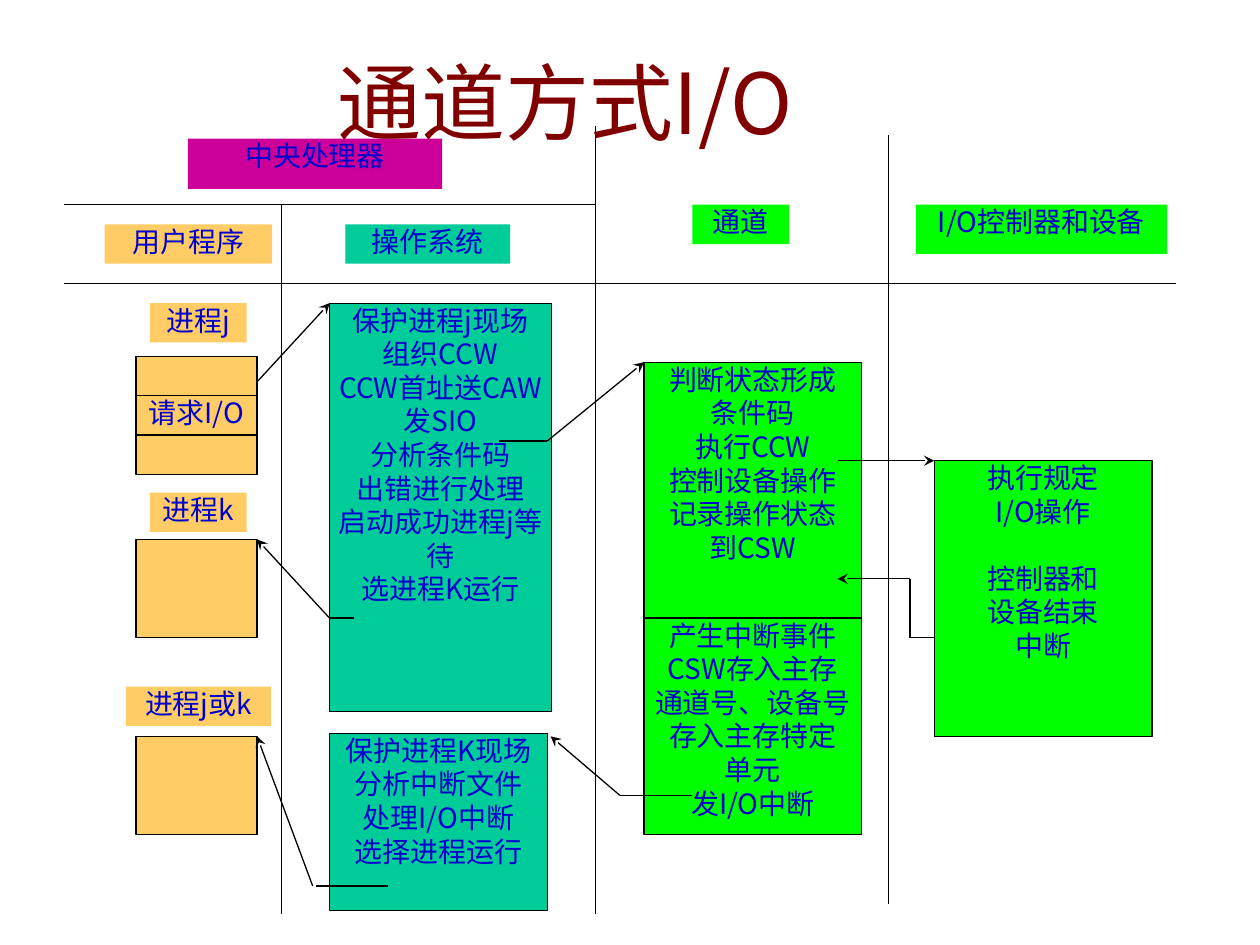
"""Build the channel-based I/O flow slide."""
from itertools import pairwise
from typing import NamedTuple, Optional

from pptx import Presentation
from pptx.dml.color import RGBColor as RGB
from pptx.enum.shapes import MSO_CONNECTOR as CONN, MSO_SHAPE as SHAPE
from pptx.enum.text import MSO_ANCHOR as ANCHOR, MSO_AUTO_SIZE as FIT, PP_ALIGN as ALIGN
from pptx.oxml.ns import qn
from pptx.util import Inches, Pt

FONT = "Noto Sans CJK JP"
BLACK = RGB(0, 0, 0)
BLUE = RGB(0x00, 0x00, 0xCC)
MAROON = RGB(0x80, 0x00, 0x00)
MAGENTA = RGB(0xCC, 0x00, 0x99)
ORANGE = RGB(0xFF, 0xCC, 0x66)
TEAL = RGB(0x00, 0xCC, 0x99)
GREEN = RGB(0x00, 0xFF, 0x00)

LEFT, TOP = 2.04, 2.25
COL, ROW = 8.83 / 46, 7.5 / 48
LINE_GAP = Pt(19.2)


class Box(NamedTuple):
    """A filled rectangle in grid units; a "+" opens a line set one line lower."""
    col: float
    row: float
    cols: float
    rows: float
    fill: RGB
    text: str = ""
    outlined: bool = False


class Route(NamedTuple):
    """A chain of straight lines through grid points."""
    points: tuple
    arrow: bool = True


BOXES = [
    Box(-2.86, -7.36, 10.52, 2.56, MAGENTA, "中央处理器"),
    Box(-6.3, -3, 6.93, 2, ORANGE, "用户程序"),
    Box(3.65, -3, 6.82, 2, TEAL, "操作系统"),
    Box(3, 1, 9.17, 20.74, TEAL, "保护进程j现场\n组织CCW\nCCW首址送CAW\n发SIO\n分析条件码\n"
        "出错进行处理\n启动成功进程j等待\n选进程K运行", True),
    Box(3, 22.85, 9, 9, TEAL, "保护进程K现场\n分析中断文件\n处理I/O中断\n选择进程运行", True),
    Box(16, 4, 9, 13, GREEN, "判断状态形成\n条件码\n执行CCW\n控制设备操作\n"
        "记录操作状态\n到CSW", True),
    Box(16, 17, 9, 11, GREEN, "产生中断事件\nCSW存入主存\n通道号、设备号\n存入主存特定\n"
        "单元\n发I/O中断", True),
    Box(28, 9, 9, 14, GREEN, "执行规定\nI/O操作\n+控制器和\n设备结束\n中断", True),
    Box(18, -4, 4, 2, GREEN, "通道"),
    Box(27.25, -4, 10.37, 2.5, GREEN, "I/O控制器和设备"),
    *[Box(-5, 3.7 + 2 * i, 5, 2, ORANGE, text, True)
      for i, text in enumerate(("", "请求I/O", ""))],
    Box(-4.43, 1, 4, 2, ORANGE, "进程j"),
    Box(-4.43, 10.62, 4, 2, ORANGE, "进程k"),
    Box(-5, 13, 5, 5, ORANGE, outlined=True),
    Box(-5.42, 20.48, 6, 2, ORANGE, "进程j或k"),
    Box(-5, 23, 5, 5, ORANGE, outlined=True),
]

ROUTES = [
    Route(((0, 5), (3, 1))),
    Route(((4, 17), (3, 17), (0, 13))),
    Route(((2.3, 30.6), (0, 23))),
    Route(((2.45, 30.6), (5.42, 30.6)), False),
    Route(((10, 8), (12, 8), (16, 4))),
    Route(((28, 18), (27, 18), (27, 15), (24, 15))),
    Route(((18, 26), (15, 26), (12.14, 23))),
    Route(((24, 9), (28, 9))),
    Route(((-8, -4), (14, -4)), False),
    Route(((14, -8), (14, 32)), False),
    Route(((-8, 0), (38, 0)), False),
    Route(((26.1, -7.55), (26.1, 31.5)), False),
    Route(((1, -4), (1, 32)), False),
]


def at(col: float, row: float) -> tuple:
    """Return the slide position of a grid point."""
    return Inches(LEFT + col * COL), Inches(TOP + row * ROW)


def set_format(target, values: dict) -> None:
    """Set each named attribute on the target."""
    for name, value in values.items():
        setattr(target, name, value)


def write(p, text: str, size: float, color: RGB) -> None:
    """Add one styled run to a paragraph."""
    r = p.add_run()
    r.text = text
    set_format(r.font, {"size": Pt(size), "name": FONT, "bold": False})
    r.font.color.rgb = color
    ea = r.font._element.makeelement(qn("a:ea"), {"typeface": FONT})
    r.font._element.find(qn("a:latin")).addnext(ea)


def draw_box(s, box: Box) -> None:
    """Draw a rectangle with its centred lines of text."""
    sp = s.shapes.add_shape(SHAPE.RECTANGLE, *at(box.col, box.row),
                            Inches(box.cols * COL), Inches(box.rows * ROW))
    sp.shadow.inherit = False
    sp.fill.solid()
    sp.fill.fore_color.rgb = box.fill
    if box.outlined:
        sp.line.color.rgb = BLACK
        sp.line.width = Pt(0.75)
    else:
        sp.line.fill.background()
    if not box.text:
        return
    tf = sp.text_frame
    set_format(tf, {"margin_left": 0, "margin_right": 0, "margin_top": 0,
                    "margin_bottom": 0, "word_wrap": True,
                    "vertical_anchor": ANCHOR.TOP})
    for i, line in enumerate(box.text.split("\n")):
        p = tf.add_paragraph() if i else tf.paragraphs[0]
        p.alignment = ALIGN.CENTER
        if line.startswith("+"):
            p.space_before = LINE_GAP
        write(p, line.lstrip("+"), 16, BLUE)


def draw_route(s, route: Route) -> None:
    """Draw a chain of connectors, with an arrowhead on the last if asked."""
    cxn: Optional[object] = None
    for start, end in pairwise(route.points):
        cxn = s.shapes.add_connector(CONN.STRAIGHT, *at(*start), *at(*end))
        cxn.line.color.rgb = BLACK
        cxn.line.width = Pt(0.75)
        sp_pr = cxn._element.spPr
        sp_pr.append(sp_pr.makeelement(qn("a:effectLst"), {}))
    if route.arrow:
        ln = cxn.line._get_or_add_ln()
        ln.append(ln.makeelement(qn("a:tailEnd"), {"type": "stealth"}))


def place_title(s, text: str) -> None:
    """Move the title placeholder to the front and fill it."""
    sp = s.shapes.title
    set_format(sp, {"left": Inches(2.58), "top": Inches(0.35),
                    "width": Inches(3.98), "height": Inches(0.9)})
    tf = sp.text_frame
    set_format(tf, {"word_wrap": False, "auto_size": FIT.NONE,
                    "vertical_anchor": ANCHOR.TOP})
    p = tf.paragraphs[0]
    p.alignment = ALIGN.LEFT
    write(p, text, 48, MAROON)
    s.shapes._spTree.append(sp._element)


def main() -> None:
    """Build and save the slide."""
    prs = Presentation()
    set_format(prs, {"slide_width": Inches(10), "slide_height": Inches(7.5)})
    s = prs.slides.add_slide(prs.slide_layouts[5])
    for box in BOXES:
        draw_box(s, box)
    for route in ROUTES:
        draw_route(s, route)
    place_title(s, "通道方式I/O")
    prs.save("out.pptx")


if __name__ == "__main__":
    main()
